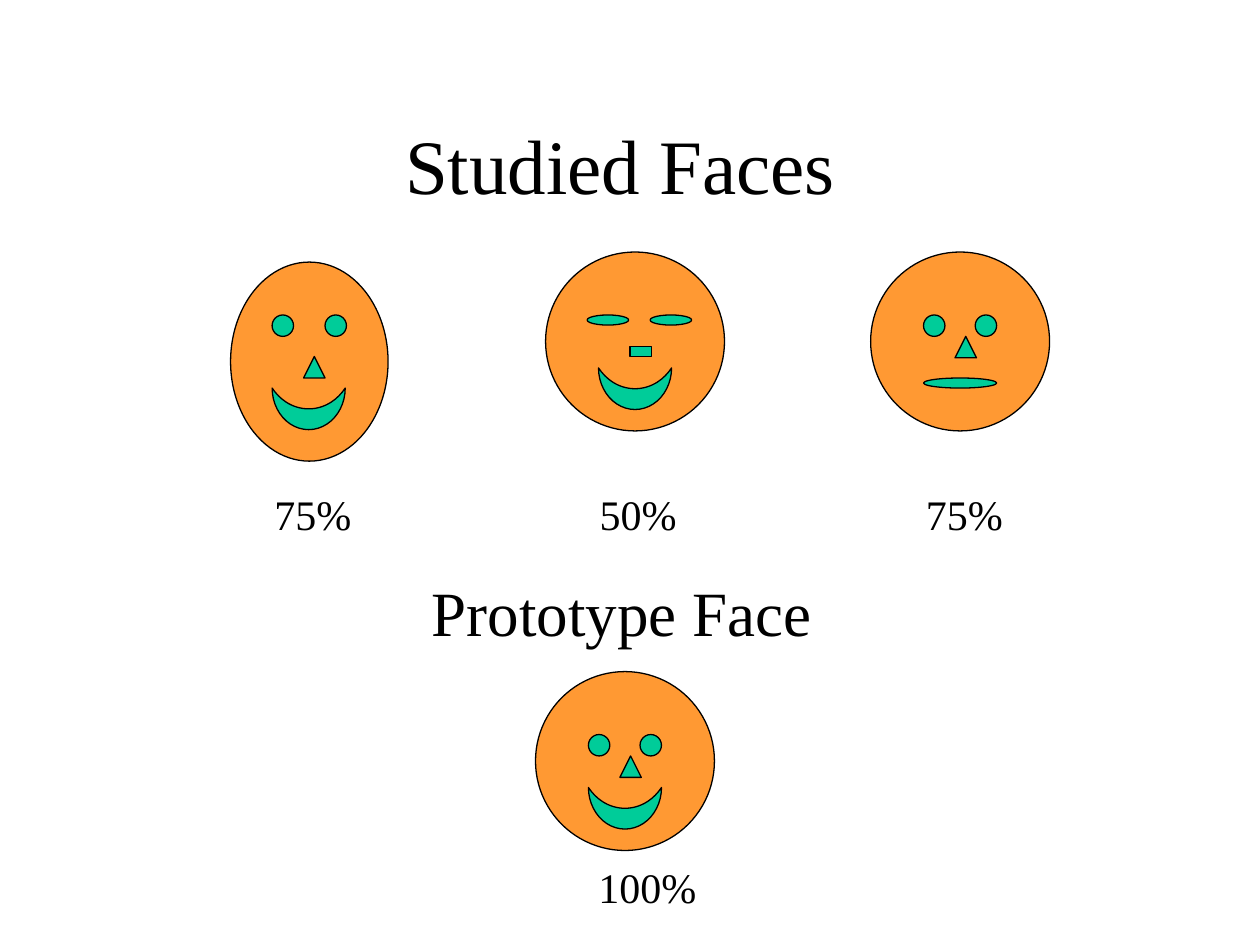
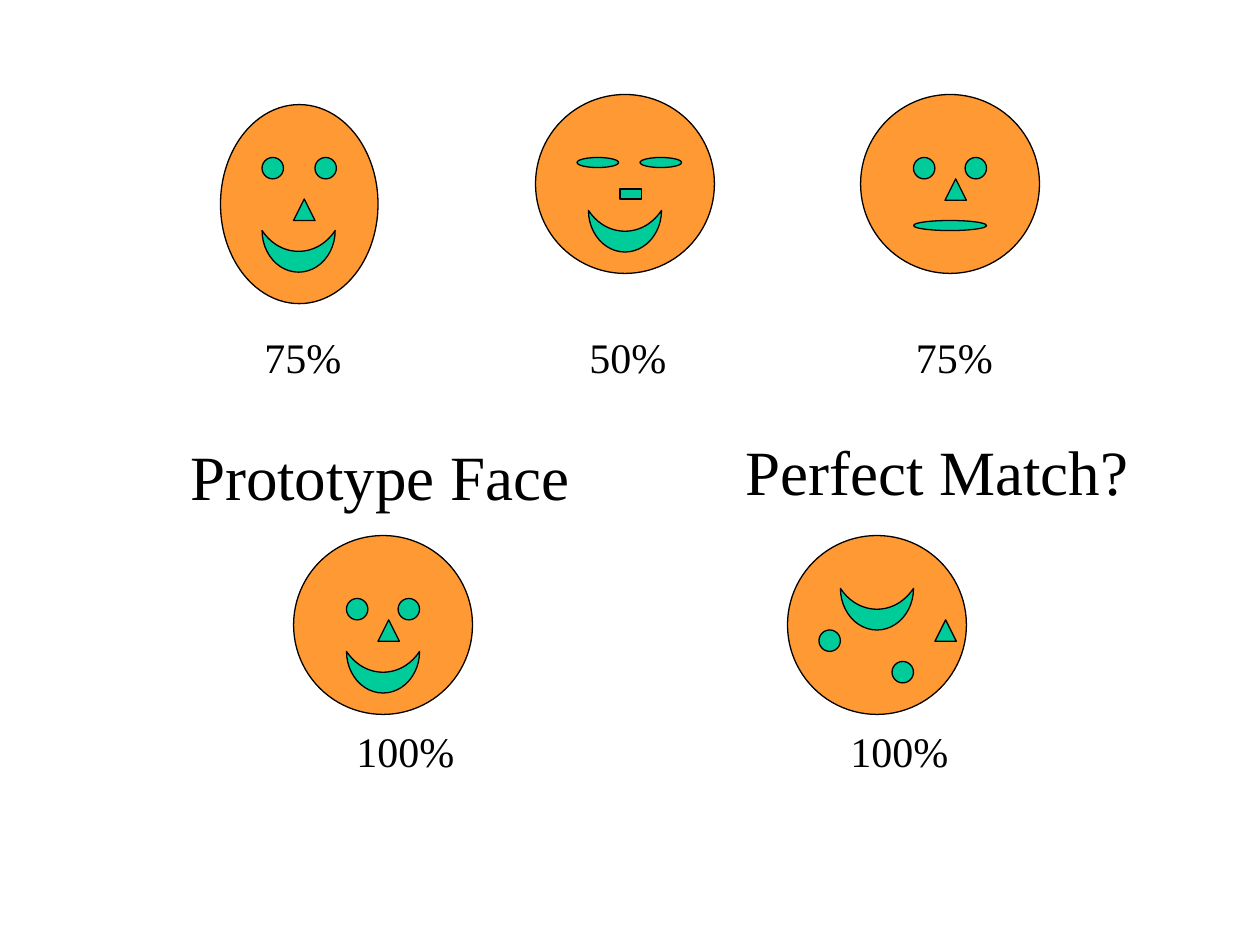
"""Studied faces compared with their prototype, on two slides."""
from dataclasses import dataclass, replace
from typing import Any

from pptx import Presentation
from pptx import util as u
from pptx.dml.color import RGBColor
from pptx.enum import shapes, text

ORANGE = RGBColor(0xFF, 0x99, 0x33)
GREEN = RGBColor(0x00, 0xCC, 0x99)
BLACK = RGBColor(0, 0, 0)
FONT = "Times New Roman"
LABEL_SIZE, HEADING_SIZE, TITLE_SIZE = 24, 36, 44

OVAL = shapes.MSO_SHAPE.OVAL
MOON = shapes.MSO_SHAPE.MOON
RECT = shapes.MSO_SHAPE.RECTANGLE
TRIANGLE = shapes.MSO_SHAPE.ISOSCELES_TRIANGLE


@dataclass(frozen=True)
class Part:
    """A shape placed relative to the corner of its face."""
    x: float
    y: float
    w: float = 0.17
    h: float = 0.17
    kind: Any = OVAL
    fill: RGBColor = GREEN


@dataclass(frozen=True)
class Face:
    """A head and its features."""
    features: tuple[Part, ...]
    w: float = 1.42
    h: float = 1.42


@dataclass(frozen=True)
class Caption:
    """A line of text in a box."""
    words: str
    x: float
    y: float
    w: float
    h: float
    size: int
    wrap: bool = True
    align: Any = text.PP_ALIGN.LEFT
    anchor: Any = text.MSO_ANCHOR.TOP


@dataclass(frozen=True)
class Studied:
    """A face of the studied row with its score."""
    face: Face
    dx: float
    dy: float
    score: str
    score_dx: float


def smile(x: float, y: float) -> Part:
    """Return a smiling mouth whose visible corner is at x, y."""
    return Part(x, y, 0.58, 0.33, MOON)


def nose(x: float, y: float) -> Part:
    """Return a triangular nose."""
    return Part(x, y, kind=TRIANGLE)


EYES = (Part(0.42, 0.5), Part(0.83, 0.5))
PROTOTYPE = Face((*EYES, nose(0.67, 0.67), smile(0.42, 0.92)))
LONG = Face((Part(0.33, 0.42), Part(0.75, 0.42), nose(0.58, 0.75),
             smile(0.33, 1)), 1.25, 1.58)
SLEEPY = Face((Part(0.33, 0.5, 0.33, 0.08), Part(0.83, 0.5, 0.33, 0.08),
               Part(0.67, 0.75, h=0.08, kind=RECT), smile(0.42, 0.92)))
SERIOUS = Face((*EYES, nose(0.67, 0.67), Part(0.42, 1, 0.58, 0.08)))
SCRAMBLED = Face((Part(0.83, 1), Part(0.25, 0.75), nose(1.17, 0.67),
                  smile(0.42, 0.42)))

STUDIED_ROW = (
    Studied(LONG, 0, 0.08, "75%", 0.25),
    Studied(SLEEPY, 2.5, 0, "50%", 2.83),
    Studied(SERIOUS, 5.08, 0, "75%", 5.42),
)


def set_all(target: Any, values: dict[str, Any]) -> None:
    """Set each named attribute of the target."""
    for name, value in values.items():
        setattr(target, name, value)


def draw_part(s: Any, part: Part, left: float, top: float) -> None:
    """Draw one part of the face whose corner is at left, top."""
    x, y, w, h = left + part.x, top + part.y, part.w, part.h
    turned = part.kind == MOON
    if turned:
        x, y, w, h = x + (w - h) / 2, y + (h - w) / 2, h, w
    sp = s.shapes.add_shape(part.kind, *map(u.Inches, (x, y, w, h)))
    sp.rotation = 270 if turned else 0
    sp.shadow.inherit = False
    sp.fill.solid()
    sp.fill.fore_color.rgb = part.fill
    sp.line.color.rgb = BLACK
    sp.line.width = u.Pt(0.75)


def draw_face(s: Any, face: Face, left: float, top: float) -> None:
    """Draw a head, then its features."""
    head = Part(0, 0, face.w, face.h, fill=ORANGE)
    for part in (head, *face.features):
        draw_part(s, part, left, top)


def draw_caption(s: Any, cap: Caption) -> None:
    """Draw a caption as a text box."""
    box = map(u.Inches, (cap.x, cap.y, cap.w, cap.h))
    tf = s.shapes.add_textbox(*box).text_frame
    set_all(tf, {"word_wrap": cap.wrap, "vertical_anchor": cap.anchor})
    p = tf.paragraphs[0]
    p.alignment = cap.align
    r = p.add_run()
    r.text = cap.words
    set_all(r.font, {"name": FONT, "size": u.Pt(cap.size)})
    r.font.color.rgb = BLACK


def draw_studied_row(s: Any, left: float, top: float) -> None:
    """Draw the three studied faces with their scores."""
    for item in STUDIED_ROW:
        draw_face(s, item.face, left + item.dx, top + item.dy)
        draw_caption(s, Caption(item.score, left + item.score_dx, top + 1.83,
                                0.92, 0.5, LABEL_SIZE))


def draw_tested(s: Any, face: Face, left: float, top: float,
                heading: Caption) -> None:
    """Draw a tested face, its heading and its score of 100%."""
    draw_face(s, face, left, top)
    draw_caption(s, replace(heading, x=left + heading.x, y=top + heading.y))
    draw_caption(s, Caption("100%", left + 0.4, top + 1.46, 0.98, 0.5,
                            LABEL_SIZE, wrap=False))


def main() -> None:
    """Build and save both slides."""
    prs = Presentation()
    set_all(prs, {"slide_width": u.Inches(10), "slide_height": u.Inches(7.5)})
    first, second = (prs.slides.add_slide(prs.slide_layouts[6])
                     for _ in range(2))
    prototype = Caption("Prototype Face", -0.92, -0.83, 3.81, 0.7,
                        HEADING_SIZE)
    match = Caption("Perfect Match?", -0.43, -0.87, 3.24, 0.7,
                    HEADING_SIZE, wrap=False)

    draw_caption(first, Caption("Studied Faces ", 0.75, 0.67, 8.5, 1.25,
                                TITLE_SIZE, align=text.PP_ALIGN.CENTER,
                                anchor=text.MSO_ANCHOR.MIDDLE))
    draw_studied_row(first, 1.83, 2)
    draw_tested(first, PROTOTYPE, 4.25, 5.33, prototype)

    draw_studied_row(second, 1.75, 0.75)
    draw_tested(second, PROTOTYPE, 2.33, 4.25, prototype)
    draw_tested(second, SCRAMBLED, 6.25, 4.25, match)
    prs.save("out.pptx")


if __name__ == "__main__":
    main()
